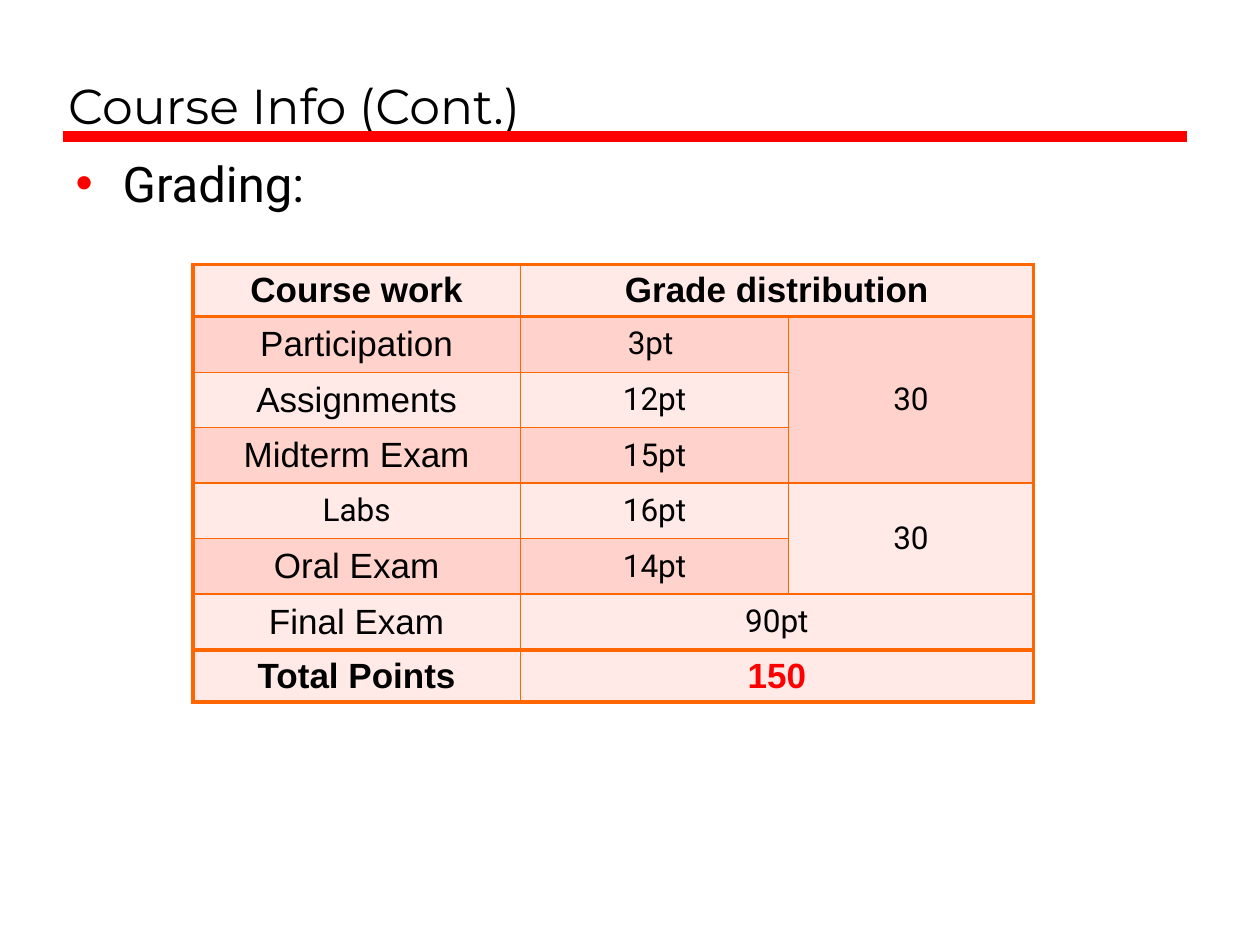
from lxml.etree import SubElement
from pptx import Presentation
from pptx.dml.color import RGBColor as RGB
from pptx.enum.shapes import MSO_CONNECTOR as CONN
from pptx.enum.text import MSO_ANCHOR as ANCHOR, MSO_AUTO_SIZE as AUTO, PP_ALIGN as ALIGN
from pptx.oxml.ns import qn
from pptx.util import Cm, Pt

THEME = {
    "black": RGB.from_string("000000"),
    "red": RGB.from_string("FF0000"),
    "border": RGB.from_string("FF6600"),
    "light": RGB.from_string("FFEAE7"),
    "dark": RGB.from_string("FFD3CB"),
    "heading": Pt(28),
    "label": Pt(20),
    "points": Pt(18),
}
NO_STYLE = "{2D5ABB26-0587-4C30-8999-92F81FD0307C}"


def add_text(p, text, **formats):
    r = p.add_run()
    r.text = text
    r.font.color.rgb = formats.pop("color", THEME["black"])
    for name, value in formats.items():
        setattr(r.font, name, value)


def add_border(tcPr, side, width):
    ln = SubElement(tcPr, qn(f"a:ln{side}"), w=str(Pt(width)))
    fill = SubElement(ln, qn("a:solidFill"))
    SubElement(fill, qn("a:srgbClr"), val=str(THEME["border"]))


prs = Presentation()
prs.slide_width, prs.slide_height = Cm(25.4), Cm(19.05)
s = prs.slides.add_slide(prs.slide_layouts[1])

# Title and the rule under it
rule = s.shapes.add_connector(CONN.STRAIGHT, Cm(1.27), Cm(2.75), Cm(23.93), Cm(2.75))
rule.line.color.rgb = THEME["red"]
rule.line.width = Pt(6)
SubElement(rule._element.spPr, qn("a:effectLst"))

title, body = s.shapes.title, s.placeholders[1]
boxes = [
    (title, (1.12, 0.43, 22.78, 2.34), ANCHOR.BOTTOM, "Course Info (Cont.)", "Montserrat"),
    (body, (1.27, 2.97, 22.71, 15.67), ANCHOR.TOP, "Grading:", "Roboto"),
]
for sp, box, anchor, text, font in boxes:
    sp.left, sp.top, sp.width, sp.height = map(Cm, box)
    tf = sp.text_frame
    tf.auto_size = AUTO.NONE
    tf.vertical_anchor = anchor
    p = tf.paragraphs[0]
    p.alignment = ALIGN.LEFT
    p.space_before = Pt(0)
    add_text(p, text, size=THEME["heading"], name=font)
title.text_frame.margin_bottom = Cm(0.06)

pPr = body.text_frame.paragraphs[0]._p.get_or_add_pPr()
pPr.set("marL", str(Cm(0.95)))
pPr.set("indent", str(Cm(-0.95)))
SubElement(SubElement(pPr, qn("a:buClr")), qn("a:srgbClr"), val=str(THEME["red"]))
SubElement(pPr, qn("a:buChar"), char="•")

# Grading table
label = {"size": THEME["label"], "name": "Arial"}
points = {"size": THEME["points"], "name": "Roboto"}
bold = {**label, "bold": True}
total = {**bold, "color": THEME["red"]}

# Each cell: text, format, rows spanned, columns spanned
rows = [
    [("Course work", bold, 1, 1), ("Grade distribution", bold, 1, 2)],
    [("Participation", label, 1, 1), ("3pt ", points, 1, 1), ("30", points, 3, 1)],
    [("Assignments", label, 1, 1), ("12pt", points, 1, 1)],
    [("Midterm Exam", label, 1, 1), ("15pt", points, 1, 1)],
    [("Labs", points, 1, 1), ("16pt", points, 1, 1), ("30", points, 2, 1)],
    [("Oral Exam", label, 1, 1), ("14pt", points, 1, 1)],
    [("Final Exam", label, 1, 1), ("90pt", points, 1, 2)],
    [("Total Points", bold, 1, 1), ("150", total, 1, 2)],
]
col_widths = [6.6, 5.41, 4.93]
row_heights = [1.05] + [1.12] * 6 + [1.05]
h_lines = [2.21, 2.21, 0.45, 0.45, 1.08, 0.45, 1.08, 2.21, 2.21]
v_lines = [2.21, 0.45, 0.45, 2.21]
dark_rows = {1, 3, 5}

frame = s.shapes.add_table(len(rows), len(col_widths), Cm(3.89), Cm(5.33),
                           Cm(sum(col_widths)), Cm(sum(row_heights)))
table = frame.table
table.first_row = table.horz_banding = False
table._tbl.tblPr.find(qn("a:tableStyleId")).text = NO_STYLE
for column, width in zip(table.columns, col_widths):
    column.width = Cm(width)
for row, height in zip(table.rows, row_heights):
    row.height = Cm(height)

for i, row in enumerate(rows):
    for j, (text, formats, down, across) in enumerate(row):
        cell = table.cell(i, j)
        if down * across > 1:
            cell.merge(table.cell(i + down - 1, j + across - 1))
        cell.vertical_anchor = ANCHOR.MIDDLE
        tcPr = cell._tc.get_or_add_tcPr()
        edges = {"L": v_lines[j], "R": v_lines[j + across],
                 "T": h_lines[i], "B": h_lines[i + down]}
        for side, width in edges.items():
            add_border(tcPr, side, width)
        cell.fill.solid()
        cell.fill.fore_color.rgb = THEME["dark" if i in dark_rows else "light"]
        p = cell.text_frame.paragraphs[0]
        p.alignment = ALIGN.CENTER
        add_text(p, text, **formats)

prs.save("out.pptx")
